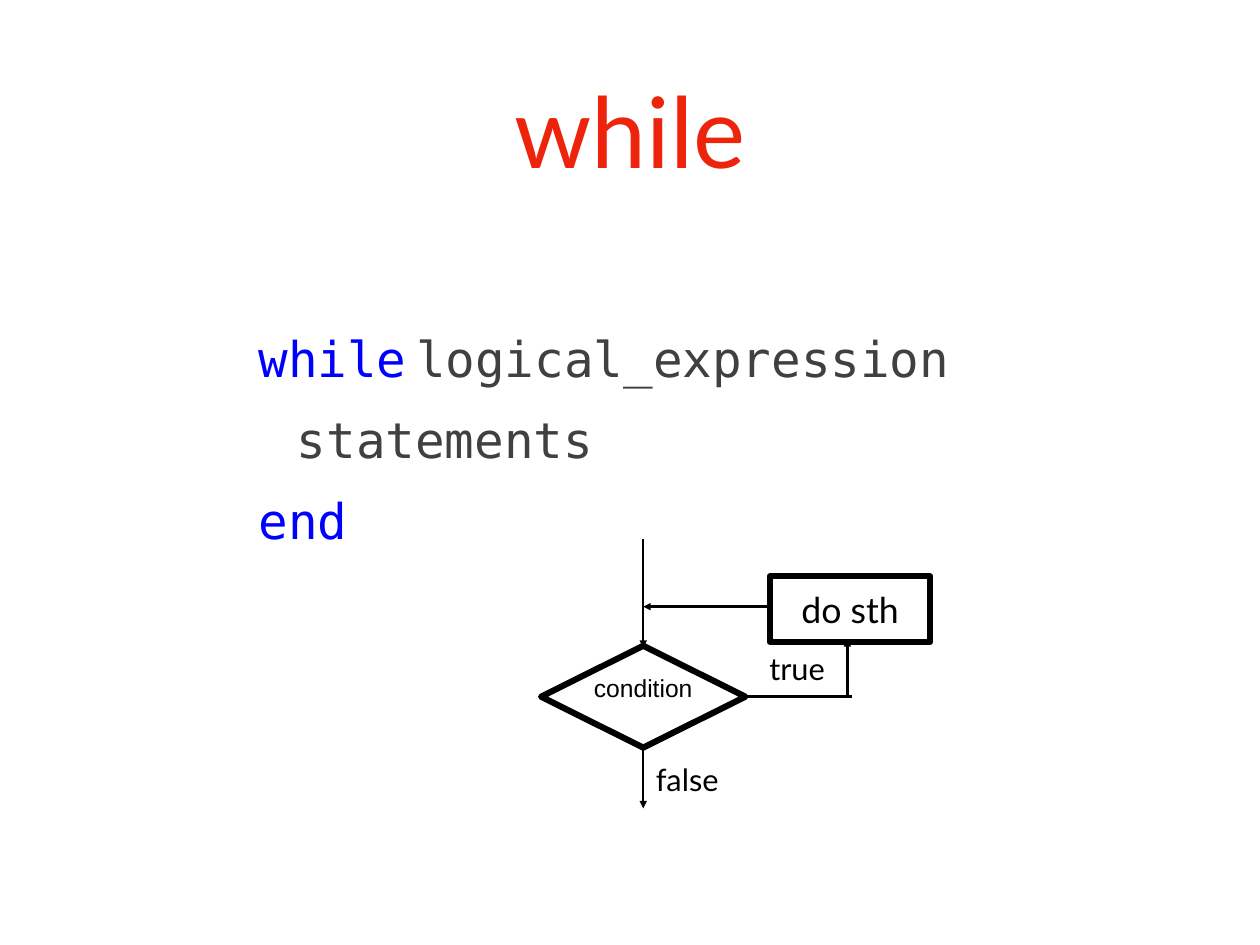
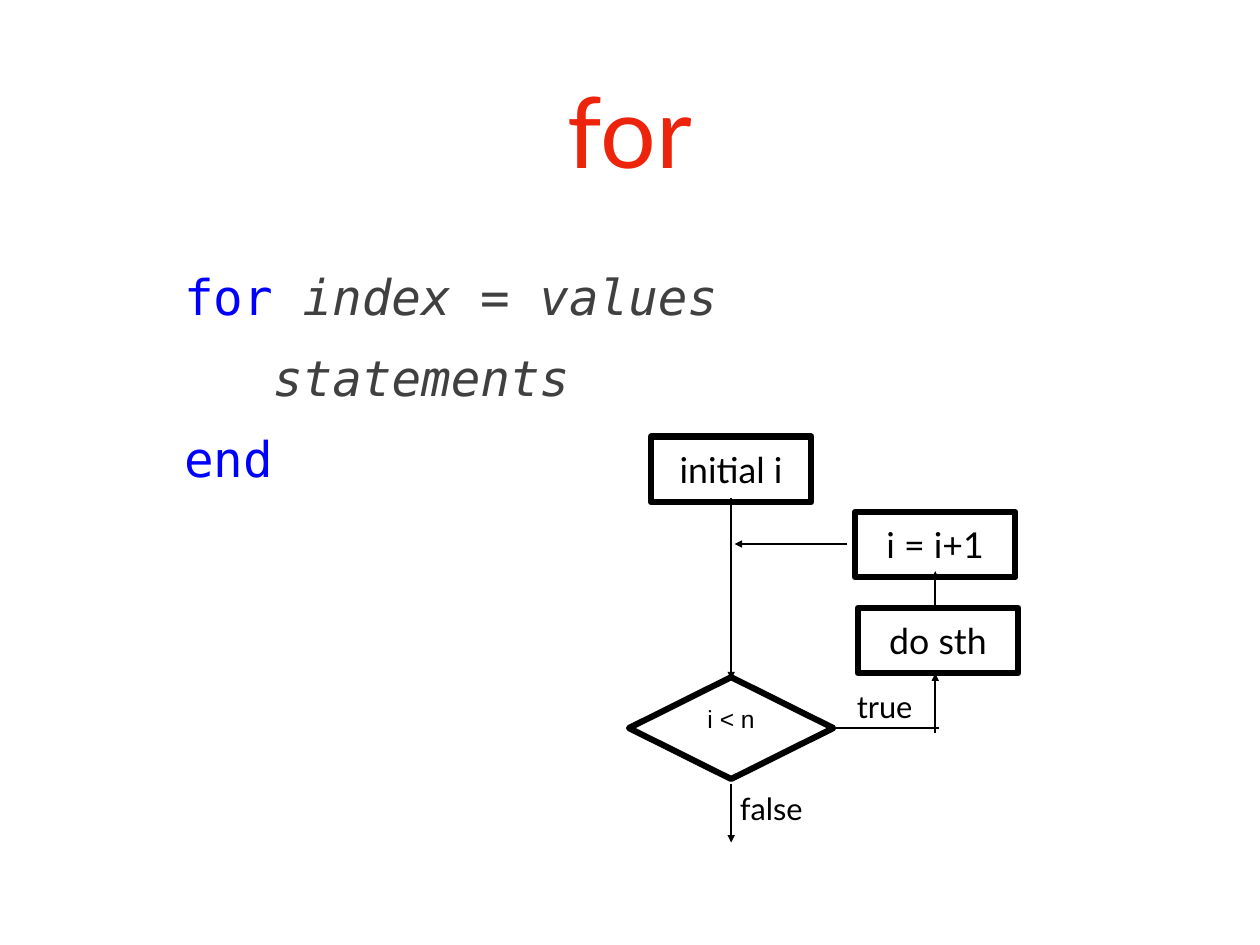
"""Build two slides that explain the while and for loops with flow charts."""
from lxml import etree
from pptx import Presentation
from pptx.dml.color import RGBColor
from pptx.enum.shapes import MSO_CONNECTOR, MSO_SHAPE
from pptx.enum.text import MSO_ANCHOR, MSO_AUTO_SIZE, PP_ALIGN
from pptx.oxml.ns import qn
from pptx.util import Cm, Pt

CENTER, LEFT = PP_ALIGN.CENTER, PP_ALIGN.LEFT
MIDDLE, NO_FIT = MSO_ANCHOR.MIDDLE, MSO_AUTO_SIZE.NONE
RECT, DIAMOND = MSO_SHAPE.RECTANGLE, MSO_SHAPE.DIAMOND
STRAIGHT = MSO_CONNECTOR.STRAIGHT

COLORS = {"title": "EE230C", "keyword": "0000FF", "code": "404040", "ink": "000000"}
TEXT_FONT, CODE_FONT, TEST_FONT = "Lato", "DejaVu Sans Mono", "Arial"
INSET = 0.15
BOX_W, BOX_H = 4.6, 1.88
TEST_W, TEST_H = 5.86, 2.92


def rgb(name):
    return RGBColor.from_string(COLORS[name])


class Deck:
    def __init__(self, prs):
        self.prs = prs
        self.slide = None

    def frame(self, sp, wrap=True):
        tf = sp.text_frame
        tf.auto_size, tf.word_wrap, tf.vertical_anchor = NO_FIT, wrap, MIDDLE
        tf.margin_left = tf.margin_right = Cm(INSET)
        tf.margin_top = tf.margin_bottom = Cm(INSET)
        return tf

    def style(self, r, size, color="ink", font=TEXT_FONT, italic=False):
        r.font.size, r.font.name, r.font.italic = Pt(size), font, italic
        r.font.color.rgb = rgb(color)

    def caption(self, sp, text, size, color="ink", font=TEXT_FONT, wrap=True):
        tf = self.frame(sp, wrap)
        tf.text = text
        p = tf.paragraphs[0]
        p.alignment = CENTER
        self.style(p.runs[0], size, color, font)
        return p

    def place(self, sp, x, y, w, h):
        sp.left, sp.top, sp.width, sp.height = Cm(x), Cm(y), Cm(w), Cm(h)

    def new_slide(self, title):
        self.slide = self.prs.slides.add_slide(self.prs.slide_layouts[1])
        sp = self.slide.shapes.title
        self.place(sp, 2.64, 0.71, 30.84, 6)
        self.caption(sp, title, 80, "title")

    def code(self, x, y, w, h, lines):
        sp = self.slide.placeholders[1]
        self.place(sp, x, y, w, h)
        tf = self.frame(sp)
        for i, (indent, runs) in enumerate(lines):
            p = tf.add_paragraph() if i else tf.paragraphs[0]
            p.alignment, p.line_spacing, p.space_before = LEFT, Pt(66), Pt(0)
            pPr = p._p.get_or_add_pPr()
            pPr.set("marL", str(Cm(indent)))
            pPr.set("indent", "0")
            etree.SubElement(pPr, qn("a:buNone"))
            for text, color, size, italic in runs:
                r = p.add_run()
                r.text = text
                self.style(r, size, color, CODE_FONT, italic)

    def outline(self, kind, x, y, w, h):
        sp = self.slide.shapes.add_shape(kind, Cm(x), Cm(y), Cm(w), Cm(h))
        sp.shadow.inherit = False
        sp.fill.background()
        sp.line.color.rgb = rgb("ink")
        sp.line.width = Pt(5)
        return sp

    def box(self, text, x, y):
        self.caption(self.outline(RECT, x, y, BOX_W, BOX_H), text, 29)

    def test(self, text, cx, cy):
        sp = self.outline(DIAMOND, cx - TEST_W / 2, cy - TEST_H / 2, TEST_W, TEST_H)
        self.caption(sp, text, 20, font=TEST_FONT, wrap=False).line_spacing = 0.1

    def label(self, text, x, y, w):
        sp = self.slide.shapes.add_textbox(Cm(x), Cm(y), Cm(w), Cm(1.47))
        self.caption(sp, text, 25, wrap=False)

    def line(self, x1, y1, x2, y2, arrow=True):
        c = self.slide.shapes.add_connector(STRAIGHT, Cm(x1), Cm(y1), Cm(x2), Cm(y2))
        c.line.color.rgb = rgb("ink")
        c.line.width = Pt(2)
        spPr = c._element.spPr
        if arrow:
            etree.SubElement(spPr.find(qn("a:ln")), qn("a:tailEnd"), type="triangle")
        etree.SubElement(spPr, qn("a:effectLst"))

    def loop(self, condition, cx, cy, entry, drop):
        self.test(condition, cx, cy)
        self.line(cx, cy - entry, cx, cy - 1.4)
        self.line(cx + 5.85, cy + 0.05 + drop, cx + 5.85, cy - 1.65 + drop)
        self.line(cx + TEST_W / 2, cy, cx + 5.97, cy, arrow=False)
        self.line(cx, cy + 1.52 + drop, cx, cy + 3.2 + drop)
        self.box("do sth", cx + 3.63, cy - 3.45)


def while_slide(d):
    d.new_slide("while")
    d.code(7.26, 8.64, 21.6, 7.26, [
        (0, [("while", "keyword", 40, False), (" ", "code", 13, False),
             ("logical_expression", "code", 40, False)]),
        (1.1, [("statements", "code", 40, False)]),
        (0, [("end", "keyword", 40, False)]),
    ])
    cx, cy = 18.44, 19.98
    d.loop("condition", cx, cy, 4.52, 0)
    d.line(cx + 3.65, cy - 2.58, cx, cy - 2.58)
    d.label("true", 21.87, 18.44, 1.96)
    d.label("false", 18.62, 21.62, 2.16)


def for_slide(d):
    d.new_slide("for")
    d.code(5.13, 7.19, 30.84, 6.58, [
        (0, [("for ", "keyword", 40, False), ("index", "code", 40, True),
             (" = ", "code", 40, False), ("values", "code", 40, True)]),
        (2.55, [("statements", "code", 40, True)]),
        (0, [("end", "keyword", 40, False)]),
    ])
    cx, cy = 20.96, 20.88
    d.loop("i < n", cx, cy, 6.6, 0.08)
    d.line(cx + 3.33, cy - 5.28, cx + 0.1, cy - 5.28)
    d.box("i = i+1", cx + 3.55, cy - 6.2)
    d.line(cx + 5.85, cy - 3.5, cx + 5.85, cy - 4.5)
    d.box("initial i", cx - BOX_W / 2, cy - 8.36)
    d.label("true", 24.38, 19.53, 1.96)
    d.label("false", 21.03, 22.43, 2.16)


def main():
    prs = Presentation()
    prs.slide_width, prs.slide_height = Cm(36.12), Cm(27.1)
    d = Deck(prs)
    while_slide(d)
    for_slide(d)
    prs.save("out.pptx")


if __name__ == "__main__":
    main()
